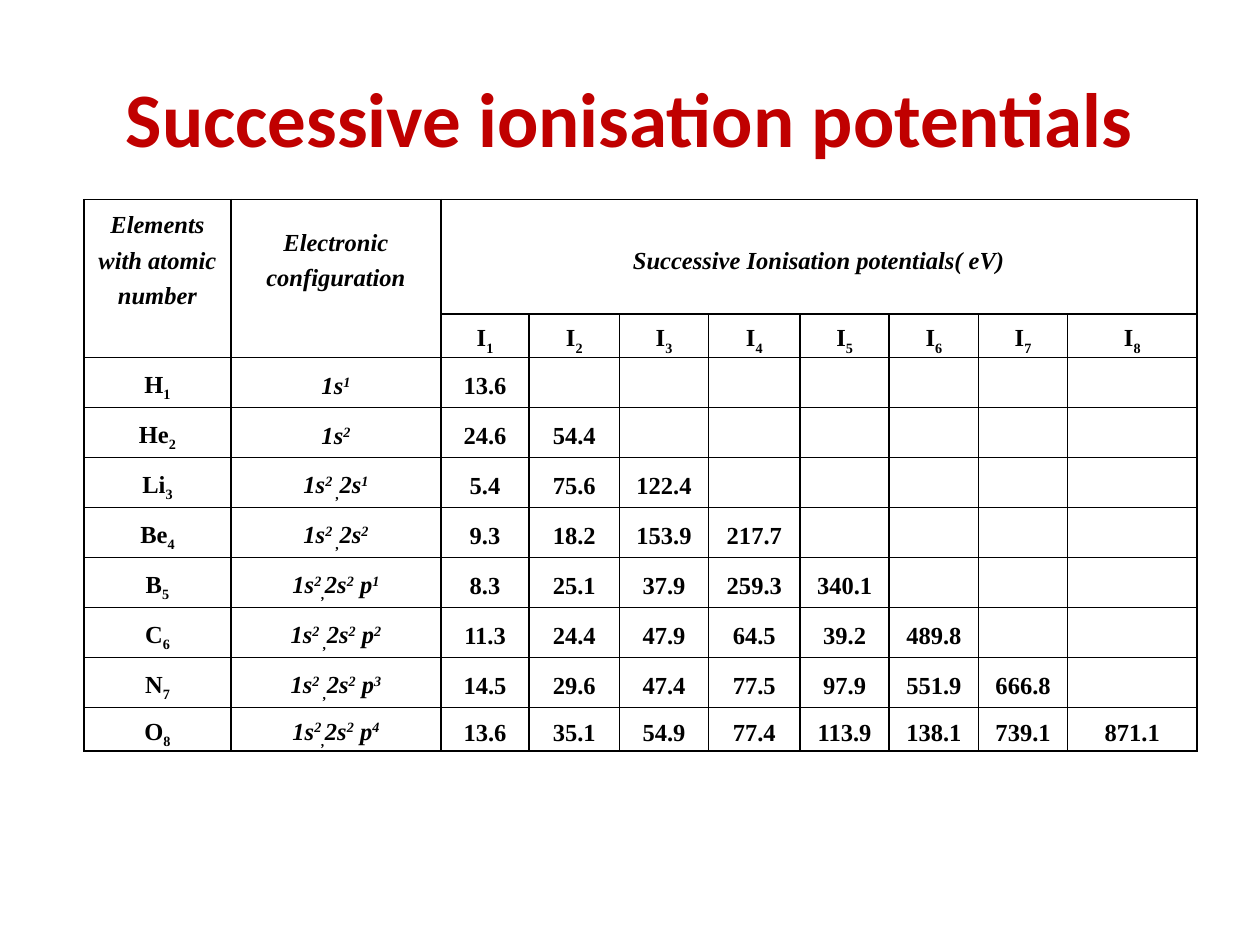
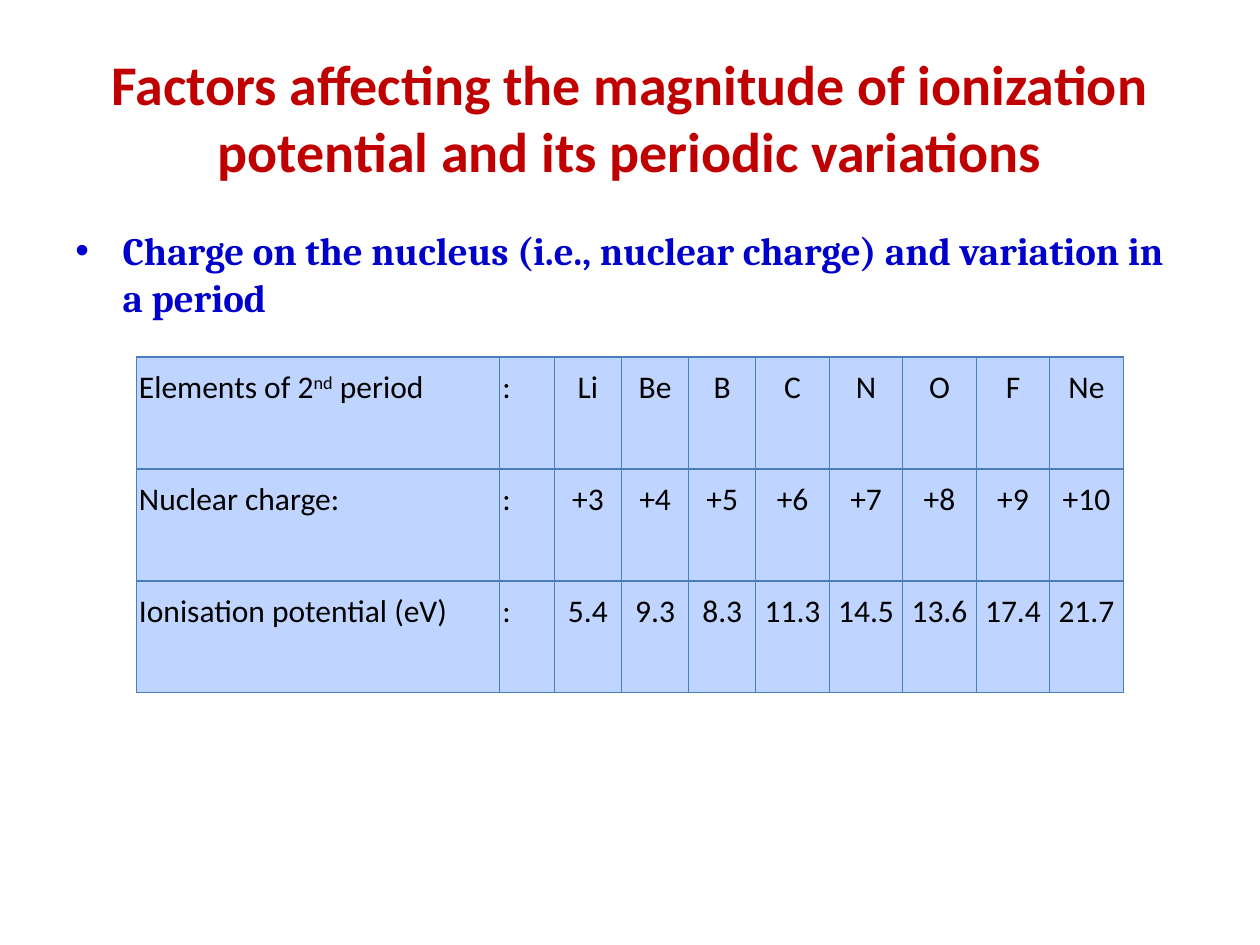
import pptx
import pptx.dml.color
import pptx.enum.text
import pptx.oxml.ns
import pptx.util
from lxml import etree

COLS, ROWS = 120, 90
UNIT = pptx.util.Inches(10) // COLS
RED, BLUE, BLACK = "C00000", "0000CC", "000000"
STEEL, PALE_BLUE = "4B7EBC", "BFD4FF"
CENTER = pptx.enum.text.PP_ALIGN.CENTER
LEFT = pptx.enum.text.PP_ALIGN.LEFT
MIDDLE = pptx.enum.text.MSO_ANCHOR.MIDDLE
TOP = pptx.enum.text.MSO_ANCHOR.TOP
BASELINES = {"^": "30000", "_": "-25000"}

CORE = "1s|^2 |_,|2s"
TIGHT_CORE = "1s|^2|_,|2s"
IONISATION = [
    ("H", "1s|^1", "13.6"),
    ("He", "1s|^2", "24.6 54.4"),
    ("Li", CORE + "|^1", "5.4 75.6 122.4"),
    ("Be", CORE + "|^2", "9.3 18.2 153.9 217.7"),
    ("B", TIGHT_CORE + "|^2| p|^1", "8.3 25.1 37.9 259.3 340.1"),
    ("C", CORE + "|^2| p|^2", "11.3 24.4 47.9 64.5 39.2 489.8"),
    ("N", CORE + "|^2| p|^3", "14.5 29.6 47.4 77.5 97.9 551.9 666.8"),
    ("O", TIGHT_CORE + "|^2| p|^4", "13.6 35.1 54.9 77.4 113.9 138.1 739.1 871.1"),
]
PERIOD = [
    ("Elements of 2|^nd| period", "Li Be B C N O F Ne"),
    ("Nuclear charge:", "+3 +4 +5 +6 +7 +8 +9 +10"),
    ("Ionisation potential (eV)", "5.4 9.3 8.3 11.3 14.5 13.6 17.4 21.7"),
]


def units(n):
    """Turn grid units into a length."""
    return pptx.util.Emu(round(n * UNIT))


def rgb(code):
    """Turn a hex string into a colour."""
    return pptx.dml.color.RGBColor.from_string(code)


def child(parent, tag, **attrs):
    """Append a DrawingML element."""
    return etree.SubElement(parent, pptx.oxml.ns.qn("a:" + tag), **attrs)


def style(font, name, size, color, bold=False, italic=False):
    """Set the look of a font."""
    font.name, font.size = name, pptx.util.Pt(size)
    font.bold, font.italic = bold, italic
    font.color.rgb = rgb(color)


def add_text(s, box, text, look):
    """Add a wrapped text box and return its frame."""
    tf = s.shapes.add_textbox(*map(units, box)).text_frame
    tf.word_wrap = True
    tf.text = text
    style(tf.paragraphs[0].runs[0].font, *look)
    return tf


def add_title(s, text, size):
    """Add the centred red slide title."""
    tf = add_text(s, (6, 3.6, 108, 15), text, ("Calibri", size, RED, True))
    tf.vertical_anchor = MIDDLE
    tf.paragraphs[0].alignment = CENTER


def add_bullet(s, box, text):
    """Add a blue bulleted line with a hanging indent."""
    tf = add_text(s, box, text, ("Cambria", 22.2, BLUE, True))
    pPr = tf.paragraphs[0]._p.get_or_add_pPr()
    indent = units(4.5)
    pPr.set("marL", str(indent))
    pPr.set("indent", str(-indent))
    child(pPr, "buFont", typeface="Arial")
    child(pPr, "buChar", char="•")


def add_borders(cell, color, width, hidden=""):
    """Draw the four cell borders, leaving out the hidden sides."""
    tcPr = cell._tc.get_or_add_tcPr()
    for side in "LRTB":
        ln = child(tcPr, "ln" + side, w=str(pptx.util.Pt(width)))
        if side in hidden:
            child(ln, "noFill")
        else:
            child(child(ln, "solidFill"), "srgbClr", val=color)


def fill_cell(cell, text, look, align, anchor):
    """Write marked-up text, with ^ for superscript and _ for subscript."""
    cell.margin_left = cell.margin_right = pptx.util.Inches(0.02)
    cell.margin_top = cell.margin_bottom = 0
    cell.vertical_anchor = anchor
    p = cell.text_frame.paragraphs[0]
    p.alignment = align
    if not text:
        child(p._p, "endParaRPr", sz=str(look[1] * 100))
        return
    p.line_spacing = 1.3
    for part in text.split("|"):
        r = p.add_run()
        r.text = part.lstrip("^_")
        style(r.font, *look)
        if part[0] in BASELINES:
            r.font._element.set("baseline", BASELINES[part[0]])


def add_grid(s, left, top, widths, heights):
    """Add a table without style bands."""
    size = (left, top, sum(widths), sum(heights))
    table = s.shapes.add_table(len(heights), len(widths), *map(units, size)).table
    table.first_row = table.horz_banding = False
    for column, width in zip(table.columns, widths):
        column.width = units(width)
    for row, height in zip(table.rows, heights):
        row.height = units(height)
    return table


def add_ionisation_table(s):
    """Add the table of successive ionisation potentials."""
    widths = [14, 20, 8.4, 8.6, 8.5, 8.7] + [8.5] * 3 + [12.3]
    heights = [10.1, 3.8] + [4.76] * 7 + [3.8]
    table = add_grid(s, 8, 19, widths, heights)
    rows = [["Elements with atomic number", "Electronic configuration",
             "Successive Ionisation potentials( eV)"],
            ["", ""] + [f"I|_{n}" for n in range(1, 9)]]
    for number, (symbol, configuration, values) in enumerate(IONISATION, 1):
        rows.append([f"{symbol}|_{number}", configuration] + values.split())
    for i, row in enumerate(rows):
        for j in range(len(widths)):
            cell = table.cell(i, j)
            italic = i == 0 or j == 1
            look = ("Times New Roman", 14, BLACK, True, italic)
            fill_cell(cell, row[j] if j < len(row) else "", look, CENTER, MIDDLE)
            seam = {0: "B", 1: "T"}.get(i, "") if j < 2 else ""
            add_borders(cell, BLACK, 1, seam)
            cell.fill.background()
    table.cell(0, 2).merge(table.cell(0, 9))


def add_period_table(s):
    """Add the table of second-period elements."""
    widths = [34.6, 5.2] + [6.4] * 3 + [7] * 5
    table = add_grid(s, 13, 34, widths, [32 / 3] * 3)
    for i, (label, values) in enumerate(PERIOD):
        for j, text in enumerate([label, ":"] + values.split()):
            cell = table.cell(i, j)
            align = LEFT if j < 2 else CENTER
            fill_cell(cell, text, ("Calibri", 18, BLACK), align, TOP)
            add_borders(cell, STEEL, 0.75)
            cell.fill.solid()
            cell.fill.fore_color.rgb = rgb(PALE_BLUE)


def main():
    """Build the two slides."""
    prs = pptx.Presentation()
    prs.slide_width, prs.slide_height = units(COLS), units(ROWS)
    blank = prs.slide_layouts[6]

    s = prs.slides.add_slide(blank)
    add_title(s, "Successive ionisation potentials", 44)
    add_ionisation_table(s)

    s = prs.slides.add_slide(blank)
    add_title(s, "Factors affecting the magnitude of ionization potential "
                 "and its periodic variations", 32)
    add_bullet(s, (6, 21, 108, 9), "Charge on the nucleus (i.e., nuclear charge) "
                                   "and variation in a period")
    add_period_table(s)
    prs.save("out.pptx")


if __name__ == "__main__":
    main()
